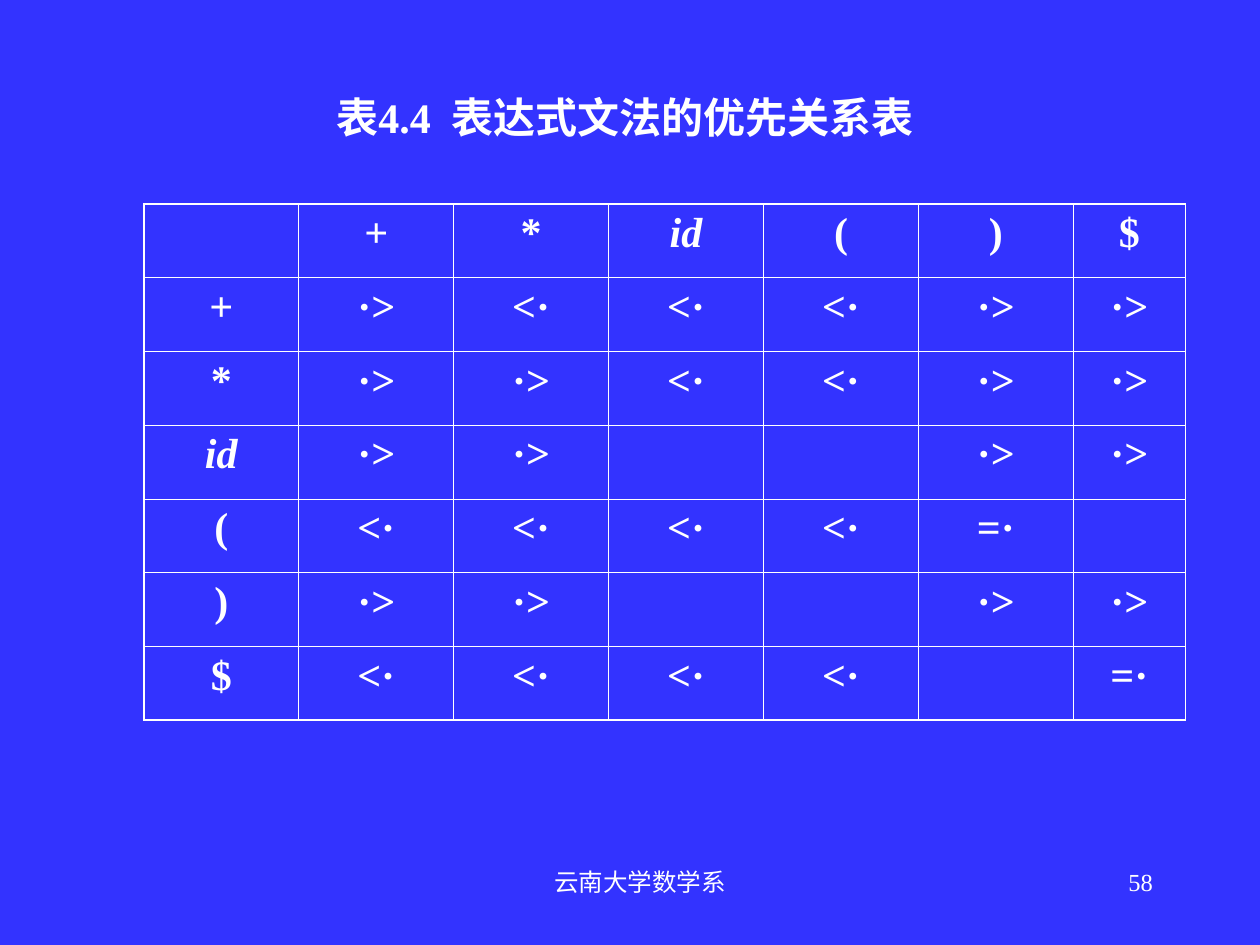
import lxml.etree
import pptx
import pptx.dml.color
import pptx.enum.text
import pptx.oxml.ns
import pptx.util

Cm = pptx.util.Cm
Pt = pptx.util.Pt
ALIGN = pptx.enum.text.PP_ALIGN

BLUE = pptx.dml.color.RGBColor(0x33, 0x33, 0xFF)
WHITE = pptx.dml.color.RGBColor(0xFF, 0xFF, 0xFF)

FACE = "Times New Roman"
HEAD = {"name": FACE, "size": Pt(24), "bold": True}
FOOT = {"name": FACE, "size": Pt(14), "bold": False}

TERMS = ["+", "*", "id", "(", ")", "$"]
# One row per left-hand term, one entry per right-hand term
ORDER = [
    ["·>", "<·", "<·", "<·", "·>", "·>"],
    ["·>", "·>", "<·", "<·", "·>", "·>"],
    ["·>", "·>", "", "", "·>", "·>"],
    ["<·", "<·", "<·", "<·", "=·", ""],
    ["·>", "·>", "", "", "·>", "·>"],
    ["<·", "<·", "<·", "<·", "", "=·"],
]
THIN, THICK = 0.45, 1.08


def write(frame, text, form, align):
    """Put one formatted line of text into a frame."""
    para = frame.paragraphs[0]
    para.alignment = align
    run = para.add_run()
    run.text = text
    for key, value in form.items():
        setattr(run.font, key, value)
    run.font.italic = text == "id"
    run.font.color.rgb = WHITE


def label(slide, box, text, form, align):
    """Add a text box for the title or the footer."""
    frame = slide.shapes.add_textbox(*map(Cm, box)).text_frame
    frame.word_wrap = True
    write(frame, text, form, align)


def edge(cell, side, width):
    """Draw one white border of a cell."""
    props = cell._tc.get_or_add_tcPr()
    name = pptx.oxml.ns.qn
    line = lxml.etree.SubElement(props, name("a:ln" + side), w=str(Pt(width)))
    fill = lxml.etree.SubElement(line, name("a:solidFill"))
    lxml.etree.SubElement(fill, name("a:srgbClr"), val=str(WHITE))


def matrix(slide, box, last):
    """Fill the box with the precedence table; last is the end column's width."""
    rows = [[""] + TERMS] + [[term] + line for term, line in zip(TERMS, ORDER)]
    count = len(rows)
    left, top, width, height = box
    table = slide.shapes.add_table(count, count, *map(Cm, box)).table
    table.first_row = table.horz_banding = False

    # Equal columns, apart from the narrow one at the end
    for col in table.columns:
        col.width = Cm((width - last) / (count - 1))
    table.columns[count - 1].width = Cm(last)
    for row in table.rows:
        row.height = Cm(height / count)

    # Cells, with a heavier frame around the outside
    for i, row in enumerate(rows):
        for j, text in enumerate(row):
            cell = table.cell(i, j)
            outer = {"L": j == 0, "R": j == count - 1,
                     "T": i == 0, "B": i == count - 1}
            for side, thick in outer.items():
                edge(cell, side, THICK if thick else THIN)
            cell.fill.background()
            if text:
                write(cell.text_frame, text, HEAD, ALIGN.CENTER)


def main():
    deck = pptx.Presentation()
    deck.slide_width, deck.slide_height = Cm(25.4), Cm(19.05)
    slide = deck.slides.add_slide(deck.slide_layouts[6])
    slide.background.fill.solid()
    slide.background.fill.fore_color.rgb = BLUE

    # Title
    label(slide, (5.1, 1.73, 15.2, 1.4), "表4.4  表达式文法的优先关系表 ",
          HEAD, ALIGN.CENTER)
    # Precedence table
    matrix(slide, (2.9, 4.11, 21, 10.41), 2.26)
    # Footer and page number
    label(slide, (8.69, 17.35, 8.43, 1.27), "云南大学数学系", FOOT, ALIGN.CENTER)
    label(slide, (18.21, 17.35, 5.28, 1.27), "58", FOOT, ALIGN.RIGHT)

    deck.save("out.pptx")


if __name__ == "__main__":
    main()
